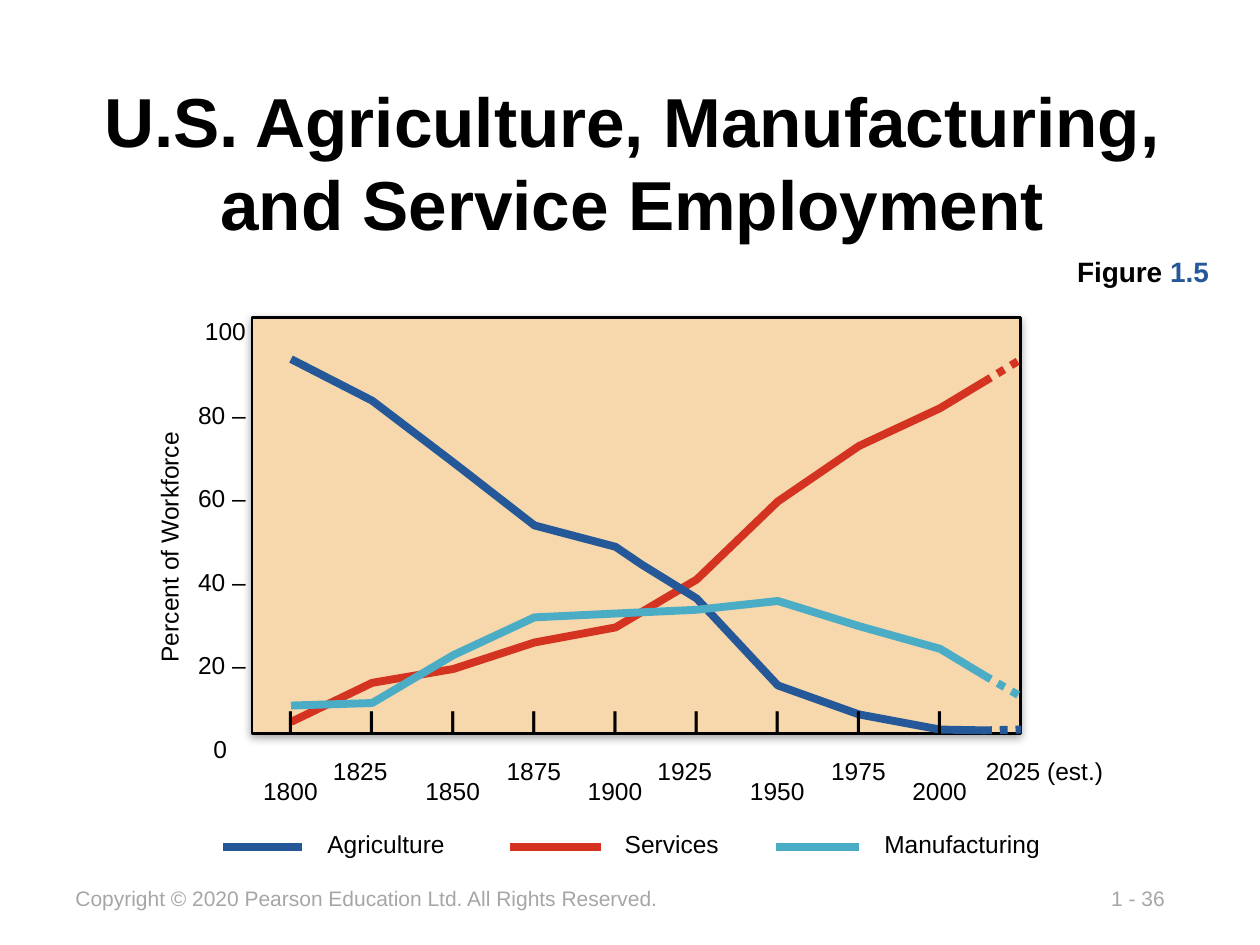
"""Builds the slide on U.S. employment by sector, 1800 to 2025."""
from dataclasses import dataclass

from lxml import etree
from pptx import Presentation, util as u
from pptx.dml.color import RGBColor
from pptx.enum import dml, shapes, text
from pptx.oxml.ns import qn


@dataclass(frozen=True)
class Theme:
    """Holds the colours, font and type sizes."""
    font: str = "Arial"
    ink: str = "000000"
    muted: str = "A6A6A6"
    plot: str = "F7D7AC"
    services: str = "D33320"
    agriculture: str = "255898"
    manufacturing: str = "4BACC6"
    title: float = 39.6
    figure: float = 16
    label: float = 14
    footer: float = 12
    series_width: float = 4.5


@dataclass(frozen=True)
class Box:
    """A rectangle in inches."""
    x: float
    y: float
    w: float
    h: float

    def inside(self, dx, dy, w, h):
        """Return a box offset from this one's top left corner."""
        return Box(self.x + dx, self.y + dy, w, h)

    def emu(self):
        """Return left, top, width and height as lengths."""
        return [u.Inches(v) for v in (self.x, self.y, self.w, self.h)]


THEME = Theme()
FIRST_YEAR, YEAR_STEP, LAST_YEAR = 1800, 25, 2025
YEAR_PITCH = 0.644
INCHES_PER_PERCENT = 1 / 30
YEARS = range(FIRST_YEAR, LAST_YEAR + 1, YEAR_STEP)
YEAR_NUDGES = {1825: -0.09, 1925: -0.09, 2025: -0.06}
SECTORS = [
    (THEME.services, 93.3,
     [(1800, 6.9), (1825, 16.2), (1850, 19.5), (1875, 25.8), (1900, 29.4),
      (1925, 40.8), (1950, 59.4), (1975, 72.6), (2000, 81.6), (2013.5, 87.9)]),
    (THEME.agriculture, 5.1,
     [(1800, 93.3), (1825, 83.4), (1850, 68.7), (1875, 53.7), (1900, 48.6),
      (1908, 44.4), (1925, 36.3), (1950, 15.6), (1975, 8.7), (2000, 5.1),
      (2013.5, 4.9)]),
    (THEME.manufacturing, 12.9,
     [(1800, 10.8), (1825, 11.4), (1850, 22.8), (1875, 31.8), (1900, 32.7),
      (1925, 33.6), (1950, 35.7), (1975, 29.7), (2000, 24.3), (2013.5, 18)]),
]


def add_run(paragraph, words, size, color=THEME.ink, bold=False):
    """Append one formatted run."""
    run = paragraph.add_run()
    run.text = words
    run.font.name, run.font.size, run.font.bold = THEME.font, u.Pt(size), bold
    run.font.color.rgb = RGBColor.from_string(color)


def add_label(slide, box, words="", size=THEME.label, color=THEME.ink, bold=False, wrap=False):
    """Place a text box and return it."""
    label = slide.shapes.add_textbox(*box.emu())
    label.text_frame.word_wrap = wrap
    label.text_frame.auto_size = text.MSO_AUTO_SIZE.SHAPE_TO_FIT_TEXT
    if words:
        add_run(label.text_frame.paragraphs[0], words, size, color, bold)
    return label


def style_line(line, color, width=THEME.series_width):
    """Give a line its colour and width."""
    line.color.rgb = RGBColor.from_string(color)
    line.width = u.Pt(width)


def add_line(slide, start, end, color):
    """Draw a straight series line without shadow."""
    ends = [u.Inches(v) for v in (*start, *end)]
    line = slide.shapes.add_connector(shapes.MSO_CONNECTOR.STRAIGHT, *ends)
    style_line(line.line, color)
    etree.SubElement(line._element.spPr, qn("a:effectLst"))
    return line


def add_heading(slide, box):
    """Fill the title placeholder and set the figure number below it."""
    title = slide.shapes.title
    title.left, title.top, title.width, title.height = box.emu()
    title.text_frame.vertical_anchor = text.MSO_ANCHOR.MIDDLE
    paragraph = title.text_frame.paragraphs[0]
    paragraph.alignment = text.PP_ALIGN.CENTER
    add_run(paragraph, "U.S. Agriculture, Manufacturing, and Service Employment",
            THEME.title, bold=True)
    figure = add_label(slide, box.inside(7.89, 1.49, 1.26, 0.37), "Figure ",
                       THEME.figure, bold=True)
    add_run(figure.text_frame.paragraphs[0], "1.5", THEME.figure, THEME.agriculture, True)


def add_plot_area(slide, box):
    """Draw the shaded frame of the graph."""
    frame = slide.shapes.add_shape(shapes.MSO_SHAPE.RECTANGLE, *box.emu())
    frame.fill.solid()
    frame.fill.fore_color.rgb = RGBColor.from_string(THEME.plot)
    style_line(frame.line, THEME.ink, 1.5)
    frame.shadow.inherit = False
    effects = frame._element.spPr.find(qn("a:effectLst"))
    shadow = etree.SubElement(effects, qn("a:outerShdw"), blurRad=str(u.Pt(5)),
                              dist=str(u.Pt(1.8)), dir="5400000", rotWithShape="0")
    tint = etree.SubElement(shadow, qn("a:srgbClr"), val=THEME.ink)
    etree.SubElement(tint, qn("a:alpha"), val="35000")


def add_percent_axis(slide, box):
    """Set the percent scale and its rotated name left of the graph."""
    scale = add_label(slide, box.inside(-0.92, -0.49, 1.15, 4.04))
    frame = scale.text_frame
    for percent in range(100, -1, -20):
        paragraph = frame.paragraphs[0] if percent == 100 else frame.add_paragraph()
        paragraph.alignment = text.PP_ALIGN.RIGHT
        paragraph.line_spacing = 2.84
        gap = {100: 0.18, 0: 0.33}.get(percent)
        if gap:
            paragraph._p.get_or_add_pPr().set("marR", str(u.Inches(gap)))
        add_run(paragraph, str(percent) if gap else f"{percent} –", THEME.label)
    name = add_label(slide, box.inside(-1.68, 1.64, 2.05, 0.34), "Percent of Workforce")
    name.rotation = 270


def add_series(slide, box):
    """Draw each sector's curve and its dotted estimate to the last year."""
    def place(year, percent):
        """Return the point of a value in inches."""
        return (box.x + 0.31 + (year - FIRST_YEAR) / YEAR_STEP * YEAR_PITCH,
                box.y + 3.44 - percent * INCHES_PER_PERCENT)

    for color, _, history in SECTORS:
        points = [tuple(u.Inches(v) for v in place(*value)) for value in history]
        builder = slide.shapes.build_freeform(*points[0])
        builder.add_line_segments(points[1:], close=False)
        curve = builder.convert_to_shape()
        curve.fill.background()
        curve.shadow.inherit = False
        style_line(curve.line, color)
    for color, estimate, history in SECTORS:
        dots = add_line(slide, place(*history[-1]), place(LAST_YEAR, estimate), color)
        dots.line.dash_style = dml.MSO_LINE.ROUND_DOT


def add_year_axis(slide, box):
    """Set the years in two staggered rows with tick marks above."""
    for column, year in enumerate(YEARS):
        left = column * YEAR_PITCH
        final = year == LAST_YEAR
        row = 3.43 if column % 2 else 3.59
        add_label(slide, box.inside(left - 0.01 + YEAR_NUDGES.get(year, 0), row,
                                    1.14 if final else 0.64, 0.34),
                  f"{year} (est.)" if final else str(year))
        if not final:
            add_label(slide, box.inside(left + 0.18, 3.03, 0.26, 0.34), "|", bold=True)


def add_legend(slide, box):
    """Set the sector names on tab stops, each after its line sample."""
    names = add_label(slide, box, wrap=True)
    paragraph = names.text_frame.paragraphs[0]
    stops = etree.SubElement(paragraph._p.get_or_add_pPr(), qn("a:tabLst"))
    for stop in (2.36, 4.42):
        etree.SubElement(stops, qn("a:tab"), pos=str(u.Inches(stop)), algn="l")
    add_run(paragraph, "Agriculture\tServices\tManufacturing", THEME.label)
    samples = [(THEME.agriculture, -0.73, -0.1), (THEME.services, 1.55, 2.27),
               (THEME.manufacturing, 3.66, 4.32)]
    for color, start, end in samples:
        y = box.y + 0.19
        add_line(slide, (box.x + start, y), (box.x + end, y), color)


def add_footer(slide, box):
    """Set the page number and the copyright line."""
    add_label(slide, box.inside(8.22, 0, 0.65, 0.3), "1 - 36", THEME.footer, THEME.muted)
    add_label(slide, box.inside(0, 0, 4.91, 0.3),
              "Copyright © 2020 Pearson Education Ltd. All Rights Reserved.",
              THEME.footer, THEME.muted)


def main():
    """Build and save the slide."""
    deck = Presentation()
    deck.slide_width, deck.slide_height = u.Inches(10), u.Inches(7.5)
    slide = deck.slides.add_slide(deck.slide_layouts[5])
    plot = Box(2, 2.52, 6.1, 3.3)
    add_footer(slide, Box(0.5, 6.98, 8.87, 0.3))
    add_heading(slide, Box(0.56, 0.48, 8.92, 1.6))
    for add_part in (add_plot_area, add_percent_axis, add_series, add_year_axis):
        add_part(slide, plot)
    add_legend(slide, Box(2.5, 6.53, 6.4, 0.34))
    deck.save("out.pptx")


if __name__ == "__main__":
    main()
